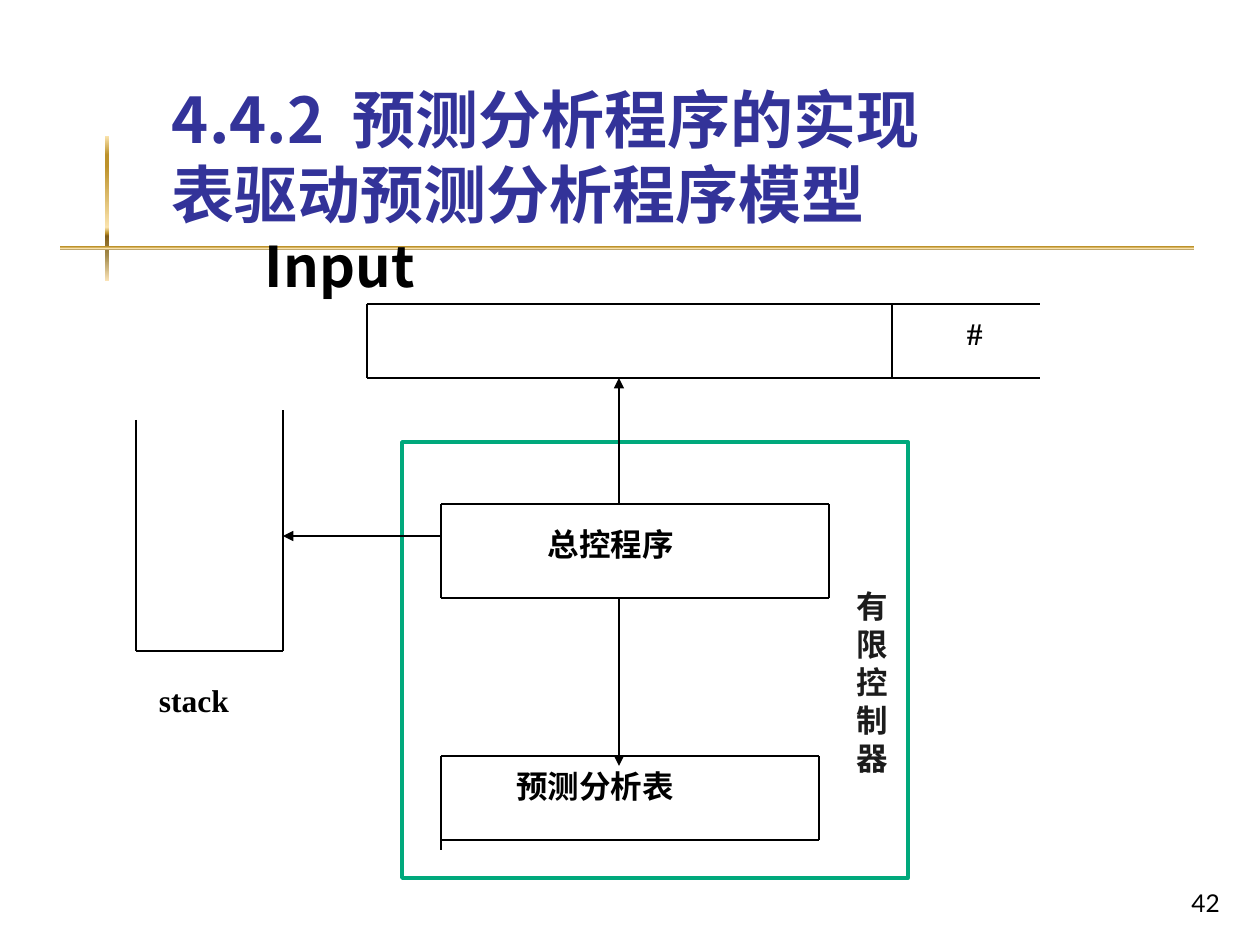
from typing import NamedTuple, Optional

from lxml import etree
from pptx import Presentation
from pptx.dml.color import RGBColor
from pptx.enum.shapes import MSO_CONNECTOR, MSO_SHAPE
from pptx.enum.text import MSO_ANCHOR, PP_ALIGN
from pptx.oxml.ns import qn
from pptx.util import Emu, Pt

EMU_PER_PX = 914400 / 126
RECTANGLE, PROCESS = MSO_SHAPE.RECTANGLE, MSO_SHAPE.FLOWCHART_PROCESS
STRAIGHT = MSO_CONNECTOR.STRAIGHT
LEFT, CENTER, RIGHT = PP_ALIGN.LEFT, PP_ALIGN.CENTER, PP_ALIGN.RIGHT
TOP, MIDDLE, BOTTOM = MSO_ANCHOR.TOP, MSO_ANCHOR.MIDDLE, MSO_ANCHOR.BOTTOM

BLACK, TITLE_BLUE, GREEN, DARK = "000000", "333399", "00A97C", "1C1C1C"
SANS, SANS_JP, SERIF = "Noto Sans CJK SC", "Noto Sans CJK JP", "Times New Roman"
GOLD_STOPS = [
    (0, "FBE4AE"), (13, "BD922A"), (21, "BD922A"), (63, "FBE4AE"),
    (67, "BD922A"), (69, "835E17"), (82, "A28949"), (100, "FAE3B7"),
]


class Box(NamedTuple):
    left: int
    top: int
    width: int
    height: int


class Line(NamedTuple):
    x1: int
    y1: int
    x2: int
    y2: int
    arrow: bool = False


class Label(NamedTuple):
    text: str
    box: Box
    font: str = SANS
    size: int = 18
    bold: bool = True
    align: PP_ALIGN = LEFT


GOLD_BARS = [Box(105, 136, 4, 145), Box(60, 246, 1134, 4)]
CONTROLLER = Box(402, 442, 506, 436)
CONTROLLER_LABEL = Box(848, 503, 49, 357)
TITLE = Box(159, 29, 1074, 202)

STACK_LINES = [
    Line(136, 420, 136, 651), Line(136, 651, 283, 651), Line(283, 651, 283, 410),
    Line(136, 441, 136, 431),
]
INPUT_LINES = [
    Line(367, 304, 1040, 304), Line(892, 304, 892, 378), Line(892, 378, 367, 378),
    Line(892, 378, 1018, 378), Line(892, 378, 1040, 378), Line(367, 304, 367, 378),
]
PROGRAM_LINES = [
    Line(441, 504, 829, 504), Line(829, 504, 829, 598),
    Line(829, 598, 441, 598), Line(441, 504, 441, 598),
]
TABLE_LINES = [
    Line(451, 756, 819, 756), Line(819, 756, 819, 840), Line(441, 756, 494, 756),
    Line(441, 756, 441, 850), Line(441, 840, 819, 840),
]
FLOW_LINES = [
    Line(619, 451, 619, 378, True), Line(619, 420, 619, 504),
    Line(420, 536, 283, 536, True), Line(420, 536, 441, 536),
    Line(619, 682, 619, 766, True), Line(619, 682, 619, 598),
]
LABELS = [
    Label("Input", Box(265, 231, 200, 81), size=32),
    Label("#", Box(967, 314, 40, 40), SERIF),
    Label("总控程序", Box(548, 525, 150, 46)),
    Label("预测分析表", Box(516, 767, 180, 46)),
    Label("stack", Box(159, 681, 100, 40), SERIF),
    Label("42", Box(1020, 888, 200, 32), "Lato", 14, False, RIGHT),
]


def px(length: int) -> Emu:
    return Emu(round(length * EMU_PER_PX))


def color(value: str) -> RGBColor:
    return RGBColor.from_string(value)


def place(box: Box) -> list[Emu]:
    return [px(length) for length in box]


def add_run(paragraph, text: str, *, font: str, size: int, fill: str = BLACK,
            bold: bool = True, spacing: int = 0) -> None:
    """Append formatted text; spacing is in points between characters."""
    run = paragraph.add_run()
    run.text = text
    run.font.name, run.font.size, run.font.bold = font, Pt(size), bold
    run.font.color.rgb = color(fill)
    properties = run.font._element
    etree.SubElement(properties, qn("a:ea")).set("typeface", font)
    if spacing:
        properties.set("spc", str(spacing * 100))


def prepare_frame(shape, *, anchor: MSO_ANCHOR = TOP, align: PP_ALIGN = LEFT,
                  side_margin: int = 0, line_height: Optional[float] = None):
    """Set up the text frame and return its first paragraph."""
    frame = shape.text_frame
    frame.word_wrap = True
    frame.vertical_anchor = anchor
    frame.margin_left = frame.margin_right = px(side_margin)
    frame.margin_top = frame.margin_bottom = 0
    paragraph = frame.paragraphs[0]
    paragraph.alignment = align
    if line_height:
        paragraph.line_spacing = Pt(line_height)
    return paragraph


def add_plain_shape(slide, kind: MSO_SHAPE, box: Box):
    shape = slide.shapes.add_shape(kind, *place(box))
    shape.shadow.inherit = False
    shape.fill.background()
    shape.line.fill.background()
    return shape


def add_gold_bar(slide, box: Box) -> None:
    shape = add_plain_shape(slide, RECTANGLE, box)
    shape.fill.gradient()
    shape.fill.gradient_angle = 270
    stops = shape._element.spPr.find(qn("a:gradFill")).find(qn("a:gsLst"))
    for stop in list(stops):
        stops.remove(stop)
    for percent, value in GOLD_STOPS:
        stop = etree.SubElement(stops, qn("a:gs"), pos=str(percent * 1000))
        etree.SubElement(stop, qn("a:srgbClr"), val=value)


def add_line(slide, line: Line) -> None:
    ends = [px(length) for length in line[:4]]
    connector = slide.shapes.add_connector(STRAIGHT, *ends)
    connector.line.color.rgb = color(BLACK)
    connector.line.width = Pt(0.75)
    properties = connector._element.spPr
    if line.arrow:
        etree.SubElement(properties.find(qn("a:ln")), qn("a:tailEnd"), type="triangle")
    etree.SubElement(properties, qn("a:effectLst"))


def add_label(slide, label: Label) -> None:
    shape = slide.shapes.add_textbox(*place(label.box))
    paragraph = prepare_frame(shape, align=label.align)
    add_run(paragraph, label.text, font=label.font, size=label.size, bold=label.bold)


def format_title(slide) -> None:
    title = slide.shapes.title
    title.left, title.top, title.width, title.height = place(TITLE)
    paragraph = prepare_frame(title, anchor=BOTTOM, side_margin=13, line_height=43)
    style = {"size": 36, "fill": TITLE_BLUE}
    add_run(paragraph, "4.4.2", font=SANS, **style)
    add_run(paragraph, " ", font=SANS, spacing=8, **style)
    add_run(paragraph, "预测分析程序的实现", font=SANS, **style)
    paragraph.add_line_break()
    add_run(paragraph, "表驱动", font=SANS_JP, **style)
    add_run(paragraph, "预测分析程序模型", font=SANS, **style)


def add_controller(slide) -> None:
    frame = add_plain_shape(slide, PROCESS, CONTROLLER)
    frame.line.color.rgb = color(GREEN)
    frame.line.width = Pt(2)
    label = add_plain_shape(slide, PROCESS, CONTROLLER_LABEL)
    paragraph = prepare_frame(label, anchor=MIDDLE, align=CENTER, line_height=21.7)
    add_run(paragraph, "有限控制器", font=SANS_JP, size=18, fill=DARK)


def main() -> None:
    presentation = Presentation()
    presentation.slide_width, presentation.slide_height = px(1260), px(945)
    slide = presentation.slides.add_slide(presentation.slide_layouts[5])
    for bar in GOLD_BARS:
        add_gold_bar(slide, bar)
    format_title(slide)
    add_controller(slide)
    for line in STACK_LINES + INPUT_LINES + PROGRAM_LINES + TABLE_LINES + FLOW_LINES:
        add_line(slide, line)
    for label in LABELS:
        add_label(slide, label)
    presentation.save("out.pptx")


if __name__ == "__main__":
    main()
